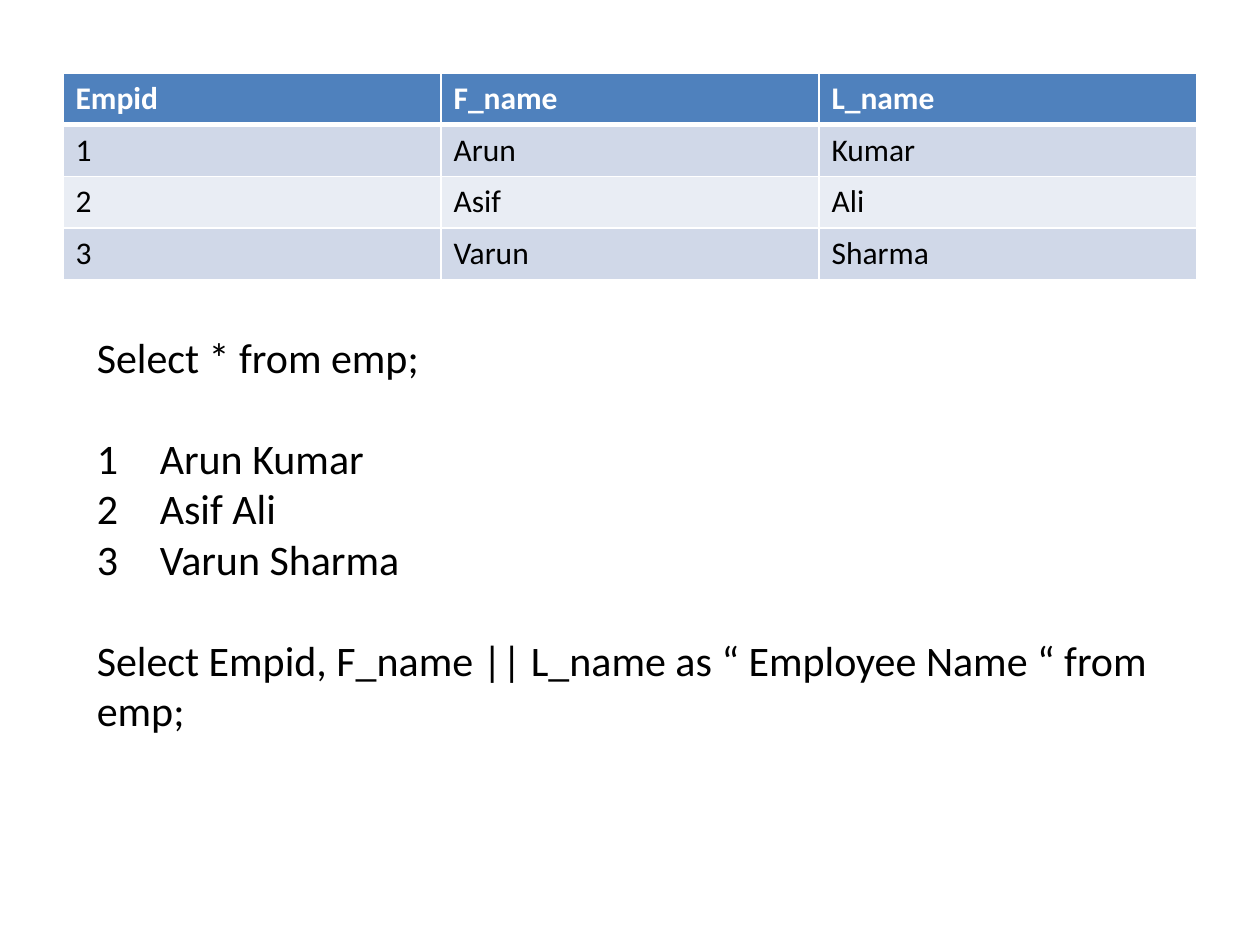
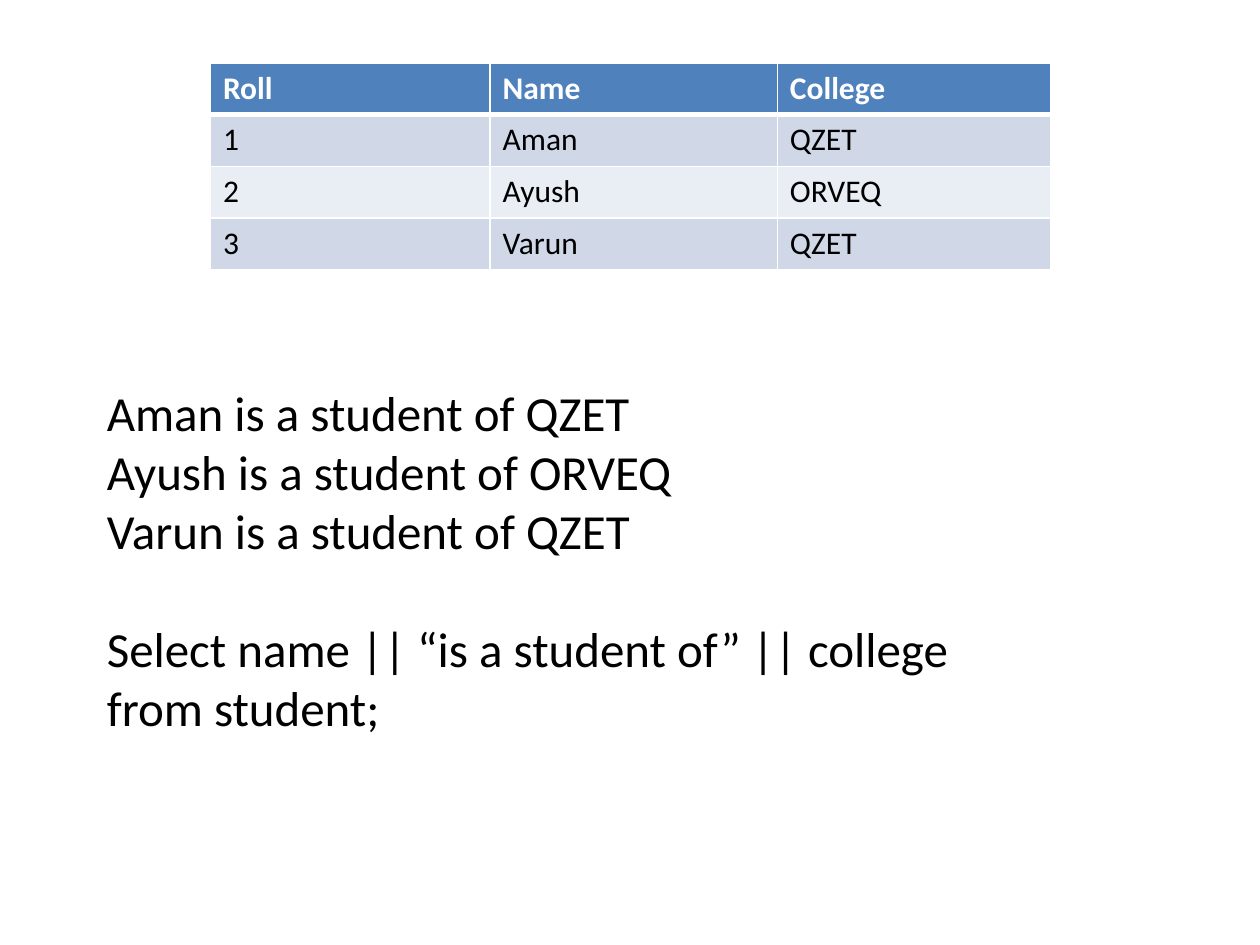
from lxml import etree
from pptx import Presentation
from pptx.dml.color import RGBColor
from pptx.enum.text import MSO_AUTO_SIZE
from pptx.oxml.ns import qn
from pptx.util import Inches, Pt

FIT_SHAPE = MSO_AUTO_SIZE.SHAPE_TO_FIT_TEXT
FONT = "Calibri"
WHITE = RGBColor(0xFF, 0xFF, 0xFF)
BLACK = RGBColor(0x00, 0x00, 0x00)
HEADER_BLUE = RGBColor(0x4F, 0x81, 0xBD)
BAND_DARK = RGBColor(0xD0, 0xD8, 0xE8)
BAND_LIGHT = RGBColor(0xE9, 0xED, 0xF4)
ROW_HEIGHT = Inches(0.41)
LINE_SPACING = 1.22  # natural line height of the font, in ems


def add_data_table(slide, left, top, col_widths, rows):
    """Add a table with a blue header, banded rows and white rules."""
    table = slide.shapes.add_table(
        len(rows), len(col_widths), Inches(left), Inches(top),
        Inches(sum(col_widths)), ROW_HEIGHT * len(rows)).table
    for column, width in zip(table.columns, col_widths):
        column.width = Inches(width)
    for i, row in enumerate(rows):
        header = i == 0
        table.rows[i].height = ROW_HEIGHT
        rules = {"L": 1, "R": 1, "T": 3 if i == 1 else 1, "B": 3 if header else 1}
        for j, text in enumerate(row):
            cell = table.cell(i, j)
            cell.text = text
            font = cell.text_frame.paragraphs[0].font
            font.name, font.size, font.bold = FONT, Pt(18), header
            font.color.rgb = WHITE if header else BLACK
            tc_pr = cell._tc.get_or_add_tcPr()
            for side, weight in rules.items():
                ln = etree.SubElement(tc_pr, qn(f"a:ln{side}"), w=str(Pt(weight)))
                fill = etree.SubElement(ln, qn("a:solidFill"))
                etree.SubElement(fill, qn("a:srgbClr"), val=str(WHITE))
            cell.fill.solid()
            cell.fill.fore_color.rgb = (
                HEADER_BLUE if header else BAND_DARK if i % 2 else BAND_LIGHT)


def add_text(slide, left, top, width, height, size, groups):
    """Add groups of lines, one line apart; a group is (numbered, lines)."""
    box = slide.shapes.add_textbox(
        Inches(left), Inches(top), Inches(width), Inches(height))
    tf = box.text_frame
    tf.word_wrap = True
    tf.auto_size = FIT_SHAPE
    lines = [(text, numbered, k == 0 and g > 0)
             for g, (numbered, texts) in enumerate(groups)
             for k, text in enumerate(texts)]
    for n, (text, numbered, starts_group) in enumerate(lines):
        p = tf.add_paragraph() if n else tf.paragraphs[0]
        p.text = text
        p.font.name, p.font.size = FONT, Pt(size)
        p.font.color.rgb = BLACK
        if starts_group:
            p.space_before = Pt(round(size * LINE_SPACING))
        if numbered:
            p_pr = p._p.get_or_add_pPr()
            p_pr.set("marL", str(Inches(0.5)))
            p_pr.set("indent", str(-Inches(0.5)))
            number = etree.Element(qn("a:buAutoNum"), type="arabicPlain")
            p_pr.find(qn("a:defRPr")).addprevious(number)


prs = Presentation()
prs.slide_width, prs.slide_height = Inches(10), Inches(7.5)
blank = prs.slide_layouts[6]

# Employee names
slide = prs.slides.add_slide(blank)
add_data_table(slide, 0.5, 0.58, [3, 3, 3], [
    ("Empid", "F_name", "L_name"),
    ("1", "Arun", "Kumar"),
    ("2", "Asif", "Ali"),
    ("3", "Varun", "Sharma"),
])
add_text(slide, 0.67, 2.58, 8.83, 3.33, 24, [
    (False, ["Select * from emp;"]),
    (True, ["Arun Kumar", "Asif Ali", "Varun Sharma"]),
    (False, ["Select Empid, F_name || L_name as “ Employee Name “ from emp;"]),
])

# Students and colleges
students = [("Aman", "QZET"), ("Ayush", "ORVEQ"), ("Varun", "QZET")]
slide = prs.slides.add_slide(blank)
add_data_table(slide, 1.67, 0.5, [2.22, 2.28, 2.17], [
    ("Roll", "Name", "College"),
    *[(str(roll), *student) for roll, student in enumerate(students, 1)],
])
add_text(slide, 0.75, 2.99, 7.33, 2.93, 28, [
    (False, [f"{name} is a student of {college}" for name, college in students]),
    (False, ["Select name || “is a student of” || college from student;"]),
])

prs.save("out.pptx")
